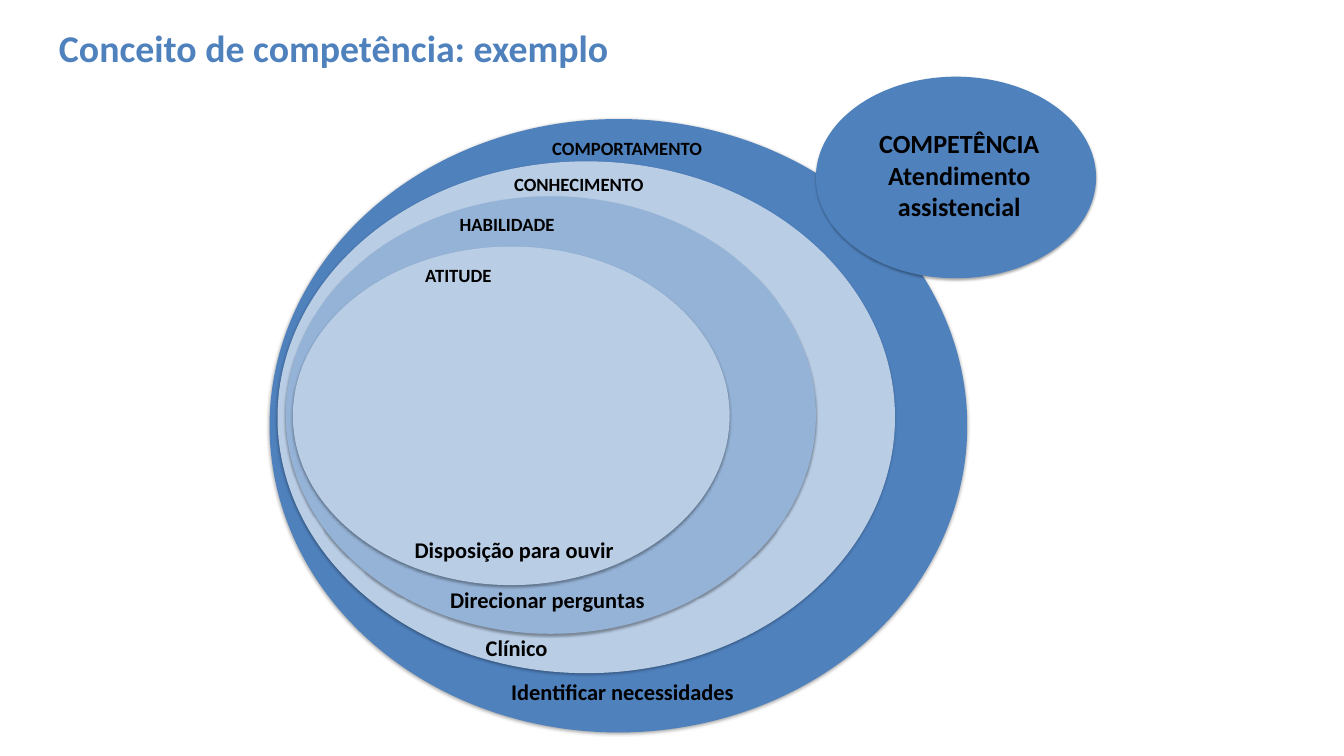
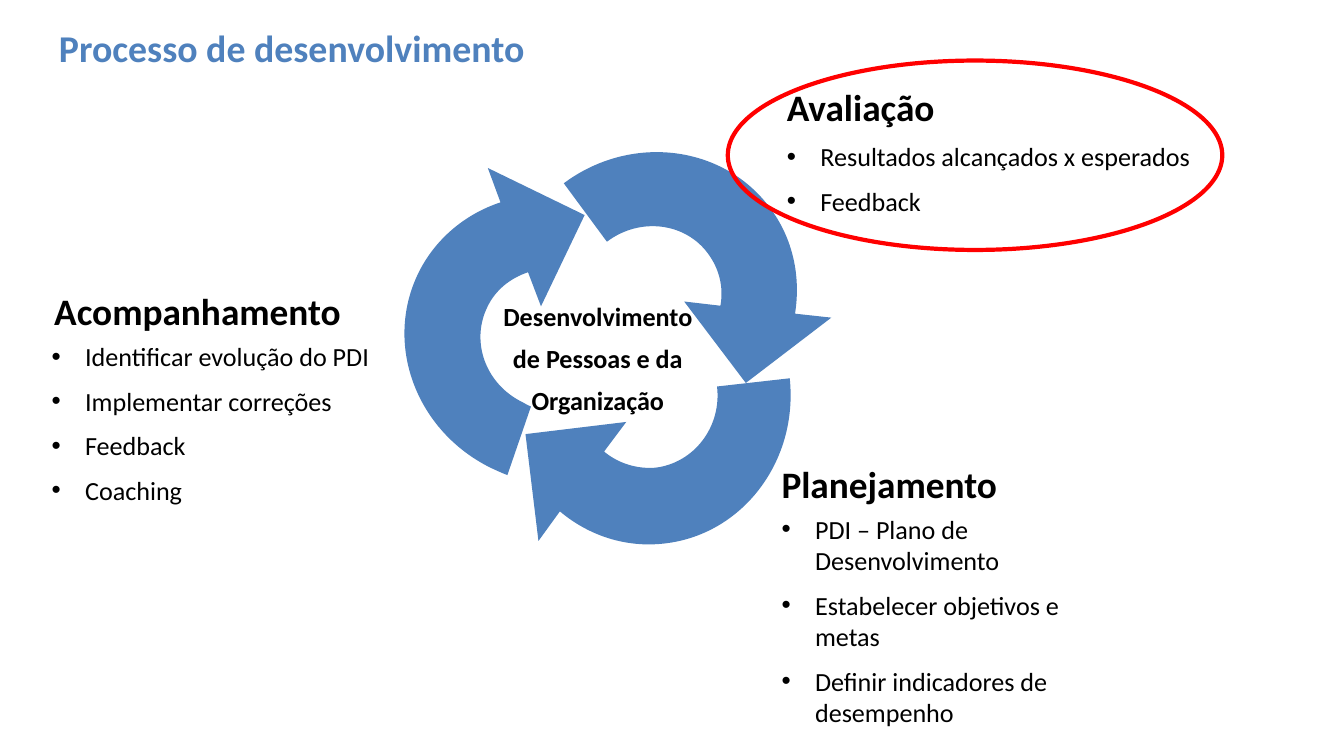
import math
from dataclasses import dataclass

from lxml import etree
from pptx import Presentation
from pptx import util as u
from pptx.dml.color import RGBColor
from pptx.enum import shapes, text
from pptx.oxml.ns import qn


@dataclass(frozen=True)
class Theme:
    font: str = "Calibri"
    blue: str = "4F81BD"
    mid_blue: str = "95B3D7"
    pale_blue: str = "B9CDE5"
    ink: str = "000000"
    highlight: str = "FF0000"
    title_size: float = 40.5
    heading_size: float = 40
    body_size: float = 28
    example_size: float = 24
    label_size: float = 20
    highlight_width: float = 4.5


THEME = Theme()
LEFT, CENTER = text.PP_ALIGN.LEFT, text.PP_ALIGN.CENTER

# All places are in centimetres: left, top, width, height.
SLIDE_SIZE = (50.8, 28.58)
TITLE_BOX = (1.98, 0.89, 34.67, 1.8)
LABEL_HEIGHT, EXAMPLE_HEIGHT, HEADING_HEIGHT = 1.09, 1.27, 1.93
BULLET_INDENT = 1.27

CONCEPT_TITLE = "Conceito de competência: exemplo"
# Each ring: ellipse, fill, label and its place, example, its place and alignment.
RINGS = [
    ((10.19, 4.5, 26.37, 23.19), THEME.blue,
     "COMPORTAMENTO", (20.62, 5.05, 8.69),
     "Identificar necessidades", (18.03, 25.5, 11), CENTER),
    ((10.49, 6.1, 23.34, 19.35), THEME.pale_blue,
     "CONHECIMENTO", (19.18, 6.42, 7.57),
     "Clínico", (18.11, 23.85, 8.71), LEFT),
    ((10.8, 7.42, 20.04, 16.54), THEME.mid_blue,
     "HABILIDADE", (17.12, 7.92, 6.05),
     "Direcionar perguntas", (16.76, 22.02, 8.41), LEFT),
    ((11.07, 9.32, 16.51, 12.8), THEME.pale_blue,
     "ATITUDE", (15.82, 9.86, 4.52),
     "Disposição para ouvir", (15.42, 20.14, 8.1), LEFT),
]
COMPETENCE = "COMPETÊNCIA Atendimento assistencial"
COMPETENCE_ELLIPSE = (30.84, 2.9, 10.59, 7.62)
COMPETENCE_BOX = (32.82, 4.7, 6.88, 3.81)

PROCESS_TITLE = "Processo de desenvolvimento"
# Each stage: heading and its place, bullets and their place.
STAGES = [
    ("Planejamento", (29.29, 17.32, 12.47),
     ["PDI – Plano de Desenvolvimento", "Estabelecer objetivos e metas",
      "Definir indicadores de desempenho"], (29.29, 19.28, 11, 8.36)),
    ("Acompanhamento", (1.8, 10.77, 16.31),
     ["Identificar evolução do PDI", "Implementar correções", "Feedback", "Coaching"],
     (1.7, 12.76, 16.51, 6.48)),
    ("Avaliação", (29.49, 3.05, 10.26),
     ["Resultados alcançados x esperados", "Feedback"], (29.49, 5.19, 18.69, 3.12)),
]
# Each arrow: corner of its frame, rotation, and its outline as seen on the slide.
# Two numbers are a corner, six are a cubic curve (two controls, end).
ARROW_FRAME = (10.8, 11.43)
CYCLE_ARROWS = [
    ((19.13, 5.56), 53.4, [
        (27.23, 11.56), (27.36, 10.85, 27.18, 10.16, 26.77, 9.6),
        (25.91, 8.41, 24.18, 8.2, 22.94, 9.14), (21.31, 6.93),
        (23.83, 5.05, 27.33, 5.46, 29.11, 7.87),
        (29.95, 8.99, 30.28, 10.41, 30.05, 11.86),
        (31.42, 12.01), (28.19, 14.48), (25.86, 11.4), (27.23, 11.56)]),
    ((19.08, 9.17), 173.9, [
        (22.83, 17.07), (23.39, 17.53, 24.08, 17.73, 24.77, 17.68),
        (26.24, 17.5, 27.28, 16.13, 27.1, 14.61), (29.85, 14.3),
        (30.18, 17.45, 28.04, 20.24, 25.07, 20.55),
        (23.67, 20.7, 22.28, 20.27, 21.16, 19.33),
        (20.35, 20.45), (19.86, 16.41), (23.67, 15.95), (22.83, 17.07)]),
    ((15.54, 7.14), 296.2, [
        (19.96, 10.29), (19.28, 10.52, 18.72, 10.97, 18.42, 11.61),
        (17.78, 12.93, 18.36, 14.53, 19.76, 15.21),
        (19.86, 15.27, 19.96, 15.32, 20.07, 15.37), (19.18, 17.96),
        (18.97, 17.88, 18.75, 17.78, 18.54, 17.68),
        (15.72, 16.28, 14.5, 13, 15.82, 10.31), (16.43, 9.07, 17.55, 8.1, 18.92, 7.65),
        (18.44, 6.35), (22.1, 8.13), (20.45, 11.58), (19.96, 10.29)]),
]
CYCLE_CORE = ["Desenvolvimento", "de Pessoas e da", "Organização"]
CYCLE_CORE_BOX = (19, 12.04, 7.19, 2.97)
HIGHLIGHT_ELLIPSE = (27.51, 2.29, 18.69, 7.16)


def cm(lengths):
    return [u.Cm(length) for length in lengths]


def add_bullet(paragraph):
    props = paragraph._p.get_or_add_pPr()
    props.set("marL", str(u.Cm(BULLET_INDENT)))
    props.set("indent", str(-u.Cm(BULLET_INDENT)))
    color = etree.SubElement(props, qn("a:buClr"))
    etree.SubElement(color, qn("a:srgbClr"), val=THEME.ink)
    etree.SubElement(props, qn("a:buFont"), typeface="Arial")
    etree.SubElement(props, qn("a:buChar"), char="•")


def add_text(slide, box, lines, size, color=THEME.ink, bold=True, align=LEFT,
             middle=False, bullets=False, gap=0, wrap=True, inset=True):
    frame = slide.shapes.add_textbox(*cm(box)).text_frame
    frame.word_wrap = wrap
    frame.vertical_anchor = text.MSO_ANCHOR.MIDDLE if middle else text.MSO_ANCHOR.TOP
    if not inset:
        frame.margin_left = frame.margin_right = frame.margin_top = frame.margin_bottom = 0
    for i, line in enumerate(lines):
        paragraph = frame.add_paragraph() if i else frame.paragraphs[0]
        paragraph.text = line
        if bullets:
            add_bullet(paragraph)
        paragraph.alignment = align
        if i:
            paragraph.space_before = u.Pt(gap)
        font = paragraph.font
        font.name, font.size, font.bold = THEME.font, u.Pt(size), bold
        font.color.rgb = RGBColor.from_string(color)


def fill_plain(shape, color):
    shape.shadow.inherit = False
    shape.fill.solid()
    shape.fill.fore_color.rgb = RGBColor.from_string(color)
    shape.line.fill.background()


def add_ellipse(slide, box):
    return slide.shapes.add_shape(shapes.MSO_SHAPE.OVAL, *cm(box))


def add_shaded_ellipse(slide, box, color):
    """Add a filled ellipse with a soft shadow below it."""
    ellipse = add_ellipse(slide, box)
    fill_plain(ellipse, color)
    effects = ellipse._element.spPr.find(qn("a:effectLst"))
    shadow = etree.SubElement(effects, qn("a:outerShdw"), blurRad=str(u.Pt(3.1)),
                              dist=str(u.Pt(1.8)), dir="5400000", rotWithShape="0")
    shade = etree.SubElement(shadow, qn("a:srgbClr"), val=THEME.ink)
    etree.SubElement(shade, qn("a:alpha"), val="35000")


def to_frame(point, corner, rotation):
    """Turn a place on the slide into one inside the unrotated arrow frame."""
    half_width, half_height = (side / 2 for side in ARROW_FRAME)
    dx = point[0] - corner[0] - half_width
    dy = point[1] - corner[1] - half_height
    cos, sin = math.cos(math.radians(rotation)), math.sin(math.radians(rotation))
    return cm((half_width + dx * cos + dy * sin, half_height - dx * sin + dy * cos))


def add_cycle_arrow(slide, corner, rotation, outline):
    steps = [[to_frame(step[i:i + 2], corner, rotation) for i in range(0, len(step), 2)]
             for step in outline]
    builder = slide.shapes.build_freeform(*steps[0][-1])
    builder.add_line_segments([step[-1] for step in steps[1:]], close=True)
    arrow = builder.convert_to_shape()
    arrow.left, arrow.top = cm(corner)
    arrow.width, arrow.height = cm(ARROW_FRAME)
    arrow.rotation = rotation
    fill_plain(arrow, THEME.blue)

    # Redraw the contour in frame coordinates, with true curves.
    contour = arrow._element.spPr.find(".//" + qn("a:path"))
    contour.set("w", str(arrow.width))
    contour.set("h", str(arrow.height))
    for child in list(contour):
        contour.remove(child)
    for i, step in enumerate(steps):
        tag = "a:moveTo" if i == 0 else "a:lnTo" if len(step) == 1 else "a:cubicBezTo"
        move = etree.SubElement(contour, qn(tag))
        for x, y in step:
            etree.SubElement(move, qn("a:pt"), x=str(x), y=str(y))
    etree.SubElement(contour, qn("a:close"))


def add_titled_slide(deck, title):
    slide = deck.slides.add_slide(deck.slide_layouts[6])
    add_text(slide, TITLE_BOX, [title], THEME.title_size, THEME.blue, middle=True)
    return slide


def build_concept(deck):
    slide = add_titled_slide(deck, CONCEPT_TITLE)
    for ring, color, *_ in RINGS:
        add_shaded_ellipse(slide, ring, color)
    add_shaded_ellipse(slide, COMPETENCE_ELLIPSE, THEME.blue)
    add_text(slide, COMPETENCE_BOX, [COMPETENCE], THEME.body_size, align=CENTER)
    for _, _, label, label_place, example, example_place, align in RINGS:
        add_text(slide, (*label_place, LABEL_HEIGHT), [label], THEME.label_size)
        add_text(slide, (*example_place, EXAMPLE_HEIGHT), [example],
                 THEME.example_size, align=align)


def build_process(deck):
    slide = add_titled_slide(deck, PROCESS_TITLE)
    for heading, heading_place, points, points_box in STAGES:
        add_text(slide, (*heading_place, HEADING_HEIGHT), [heading], THEME.heading_size)
        add_text(slide, points_box, points, THEME.body_size, bold=False,
                 bullets=True, gap=14)
    for corner, rotation, outline in CYCLE_ARROWS:
        add_cycle_arrow(slide, corner, rotation, outline)
    add_text(slide, CYCLE_CORE_BOX, CYCLE_CORE, THEME.body_size, align=CENTER,
             middle=True, gap=11.2, wrap=False, inset=False)
    highlight = add_ellipse(slide, HIGHLIGHT_ELLIPSE)
    highlight.shadow.inherit = False
    highlight.fill.background()
    highlight.line.color.rgb = RGBColor.from_string(THEME.highlight)
    highlight.line.width = u.Pt(THEME.highlight_width)


def main():
    deck = Presentation()
    deck.slide_width, deck.slide_height = cm(SLIDE_SIZE)
    build_concept(deck)
    build_process(deck)
    deck.save("out.pptx")


if __name__ == "__main__":
    main()
